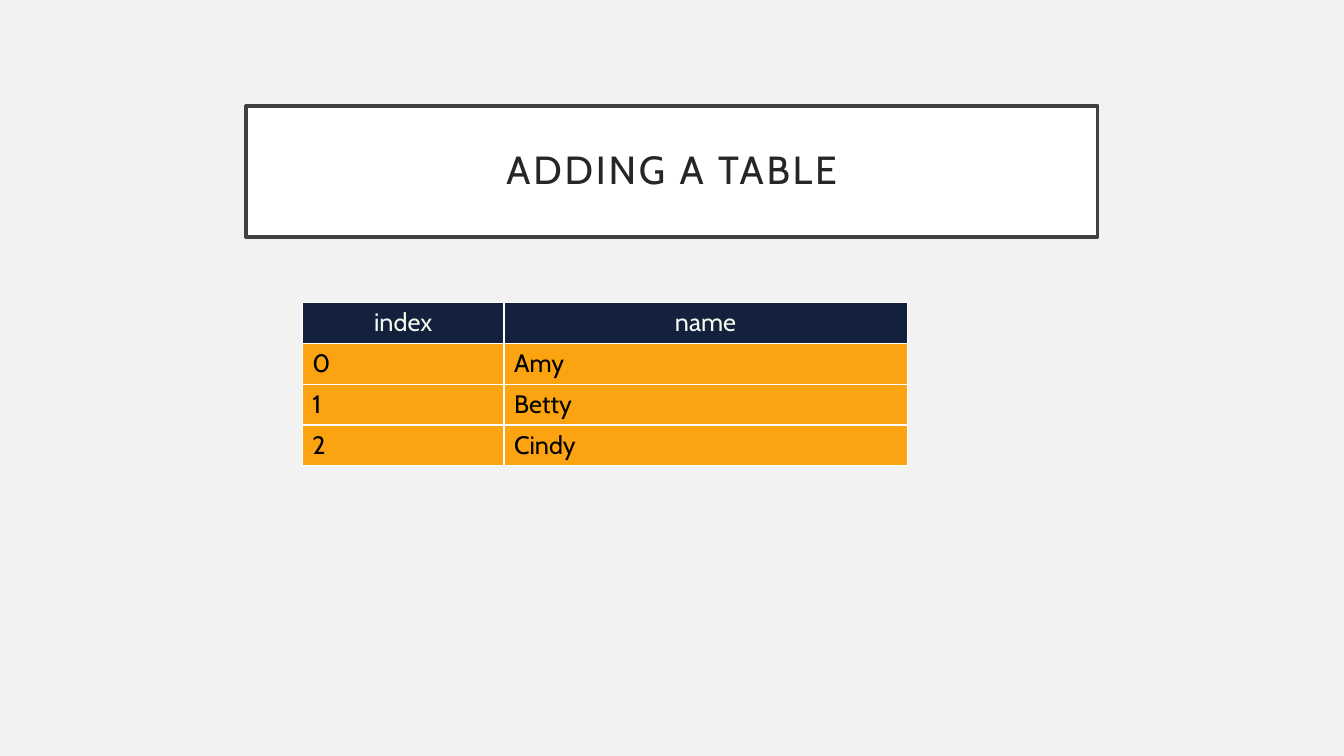
from pptx import Presentation
from pptx.dml.color import RGBColor
from pptx.enum.shapes import MSO_SHAPE
from pptx.enum.text import MSO_ANCHOR, PP_ALIGN
from pptx.util import Pt

RECTANGLE = MSO_SHAPE.RECTANGLE
MIDDLE = MSO_ANCHOR.MIDDLE
CENTER, LEFT = PP_ALIGN.CENTER, PP_ALIGN.LEFT


def color(hex_value):
    return RGBColor.from_string(hex_value)


class Deck:
    """Holds the style and the current slide."""

    font = "Cabin"
    background = "F2F2F2"
    frame_color = "404040"
    title_color = "262626"
    header_style = ("14213D", "F1FAEE", CENTER)
    body_style = ("FCA311", "000000", LEFT)

    def __init__(self, width, height):
        self.presentation = Presentation()
        self.presentation.slide_width = Pt(width)
        self.presentation.slide_height = Pt(height)
        self.slide = self.presentation.slides.add_slide(self.presentation.slide_layouts[6])
        fill = self.slide.background.fill
        fill.solid()
        fill.fore_color.rgb = color(self.background)

    def add_text(self, paragraph, wording, size, ink, alignment):
        paragraph.alignment = alignment
        run = paragraph.add_run()
        run.text = wording
        run.font.name = self.font
        run.font.size = Pt(size)
        run.font.bold = False
        run.font.color.rgb = color(ink)
        return run

    def title(self, wording, left, top, width, height):
        banner = self.slide.shapes.add_shape(RECTANGLE, Pt(left), Pt(top), Pt(width), Pt(height))
        banner.shadow.inherit = False
        banner.fill.solid()
        banner.fill.fore_color.rgb = color("FFFFFF")
        banner.line.color.rgb = color(self.frame_color)
        banner.line.width = Pt(2.5)
        frame = banner.text_frame
        frame.word_wrap = True
        frame.vertical_anchor = MIDDLE
        frame.margin_left = frame.margin_right = Pt(14.4)
        frame.margin_top = frame.margin_bottom = Pt(14.4)
        heading = frame.paragraphs[0]
        heading.line_spacing = 0.9
        run = self.add_text(heading, wording, 28, self.title_color, CENTER)
        run.font._element.set("spc", "200")

    def table(self, records, left, top, column_widths, row_height):
        table = self.slide.shapes.add_table(
            len(records), len(column_widths), Pt(left), Pt(top),
            Pt(sum(column_widths)), Pt(row_height * len(records))).table
        for column, width in zip(table.columns, column_widths):
            column.width = Pt(width)
        for row_index, record in enumerate(records):
            fill, ink, alignment = self.body_style if row_index else self.header_style
            for column_index, value in enumerate(record):
                cell = table.cell(row_index, column_index)
                cell.fill.solid()
                cell.fill.fore_color.rgb = color(fill)
                self.add_text(cell.text_frame.paragraphs[0], value, 18, ink, alignment)


deck = Deck(960, 540)
deck.title("ADDING A TABLE", 175.68, 75.6, 608.4, 93.6)
names = ["Amy", "Betty", "Cindy"]
records = [("index", "name")] + [(str(index), name) for index, name in enumerate(names)]
deck.table(records, 216, 216, [144, 288], 14.4)
deck.presentation.save("out.pptx")
